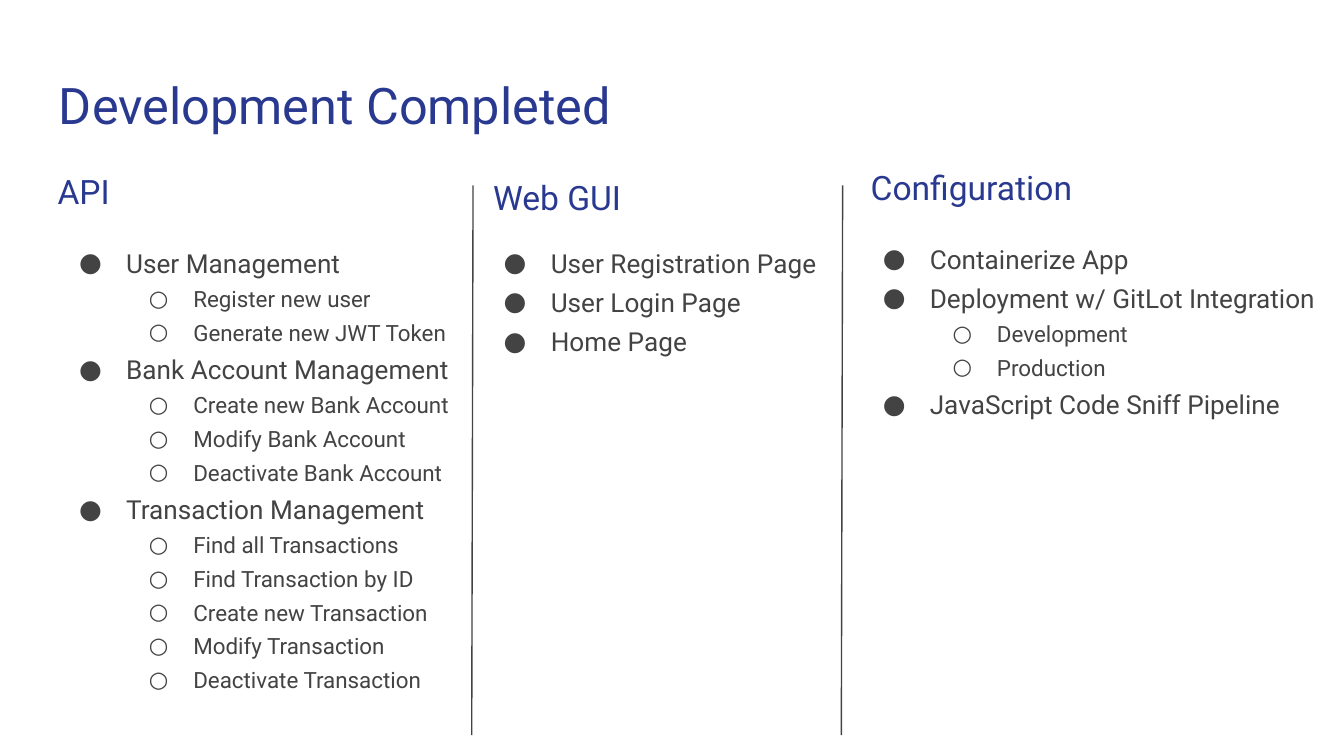
from dataclasses import dataclass

from lxml import etree
from pptx import Presentation
from pptx.dml.color import RGBColor
from pptx.enum.lang import MSO_LANGUAGE_ID
from pptx.enum.shapes import MSO_CONNECTOR
from pptx.enum.text import MSO_ANCHOR
from pptx.oxml.ns import qn
from pptx.slide import Slide
from pptx.text.text import TextFrame, _Paragraph
from pptx.util import Inches, Pt

STRAIGHT = MSO_CONNECTOR.STRAIGHT
TOP = MSO_ANCHOR.TOP
ENGLISH = MSO_LANGUAGE_ID.ENGLISH_US
FONT = "Roboto"
BLUE = "2A3990"
GRAY = "434343"
LINE_SPACING = 1.25


@dataclass(frozen=True)
class Level:
    """Look of one bullet level."""

    size: int
    margin: float
    hanging: float
    bullet: str


@dataclass(frozen=True)
class Topic:
    """A bullet with its sub-bullets."""

    name: str
    details: tuple[str, ...] = ()


@dataclass(frozen=True)
class Column:
    """A heading with a bulleted list below it."""

    heading: str
    heading_left: float
    heading_top: float
    list_left: float
    list_top: float
    topics: tuple[Topic, ...]


LEVELS = (Level(14, 0.5, 0.35, "●"), Level(12, 1, 0.33, "○"))

COLUMNS = (
    Column("API", 0.33, 1.17, 0.34, 1.68, (
        Topic("User Management", ("Register new user", "Generate new JWT Token")),
        Topic("Bank Account Management", (
            "Create new Bank Account", "Modify Bank Account", "Deactivate Bank Account")),
        Topic("Transaction Management", (
            "Find all Transactions", "Find Transaction by ID", "Create new Transaction",
            "Modify Transaction", "Deactivate Transaction")),
    )),
    Column("Web GUI", 3.57, 1.22, 3.5, 1.68, (
        Topic("User Registration Page"),
        Topic("User Login Page"),
        Topic("Home Page"),
    )),
    Column("Configuration", 6.38, 1.14, 6.32, 1.65, (
        Topic("Containerize App"),
        Topic("Deployment w/ GitLot Integration", ("Development", "Production")),
        Topic("JavaScript Code Sniff Pipeline"),
    )),
)

DIVIDERS = (3.52, 6.27)


def color(value: str) -> RGBColor:
    """Turn a hex string into a colour."""
    return RGBColor.from_string(value)


def add_text_frame(slide: Slide, left: float, top: float, width: float, height: float) -> TextFrame:
    """Add a wrapping text box with even insets."""
    shape = slide.shapes.add_textbox(Inches(left), Inches(top), Inches(width), Inches(height))
    frame = shape.text_frame
    frame.word_wrap = True
    frame.vertical_anchor = TOP
    frame.margin_left = frame.margin_right = Inches(0.1)
    frame.margin_top = frame.margin_bottom = Inches(0.1)
    return frame


def add_run(paragraph: _Paragraph, text: str, size: int, hex_color: str) -> None:
    """Add one styled run to a paragraph."""
    run = paragraph.add_run()
    run.text = text
    run.font.name = FONT
    run.font.size = Pt(size)
    run.font.language_id = ENGLISH
    run.font.color.rgb = color(hex_color)


def set_bullet(paragraph: _Paragraph, level: Level) -> None:
    """Give a paragraph its hanging indent and bullet."""
    properties = paragraph._p.get_or_add_pPr()
    properties.set("marL", str(Inches(level.margin)))
    properties.set("indent", str(-Inches(level.hanging)))
    bullet_color = etree.SubElement(properties, qn("a:buClr"))
    etree.SubElement(bullet_color, qn("a:srgbClr"), val=GRAY)
    etree.SubElement(properties, qn("a:buFont"), typeface=FONT)
    etree.SubElement(properties, qn("a:buChar"), char=level.bullet)


def add_column(slide: Slide, column: Column) -> None:
    """Draw a column's heading and list."""
    heading = add_text_frame(slide, column.heading_left, column.heading_top, 3.62, 0.5)
    add_run(heading.paragraphs[0], column.heading, 18, BLUE)

    frame = add_text_frame(slide, column.list_left, column.list_top, 4.37, 3.65)
    items = [
        (text, depth)
        for topic in column.topics
        for text, depth in [(topic.name, 0), *((detail, 1) for detail in topic.details)]
    ]
    for index, (text, depth) in enumerate(items):
        paragraph = frame.add_paragraph() if index else frame.paragraphs[0]
        paragraph.level = depth
        paragraph.line_spacing = LINE_SPACING
        set_bullet(paragraph, LEVELS[depth])
        add_run(paragraph, text, LEVELS[depth].size, GRAY)


def add_divider(slide: Slide, left: float) -> None:
    """Draw a thin, slightly slanted line between columns."""
    line = slide.shapes.add_connector(
        STRAIGHT, Inches(left), Inches(1.38), Inches(left - 0.01), Inches(5.47))
    line.line.color.rgb = color(GRAY)
    line.line.width = Pt(0.75)
    etree.SubElement(line._element.spPr, qn("a:effectLst"))


def main() -> None:
    """Build and save the slide."""
    presentation = Presentation()
    presentation.slide_width = Inches(10)
    presentation.slide_height = Inches(10) * 9 // 16
    slide = presentation.slides.add_slide(presentation.slide_layouts[6])
    slide.background.fill.solid()
    slide.background.fill.fore_color.rgb = color("FFFFFF")

    title = add_text_frame(slide, 0.34, 0.45, 9.32, 0.66)
    add_run(title.paragraphs[0], "Development Completed", 27, BLUE)
    for column in COLUMNS:
        add_column(slide, column)
    for left in DIVIDERS:
        add_divider(slide, left)

    presentation.save("out.pptx")


if __name__ == "__main__":
    main()
